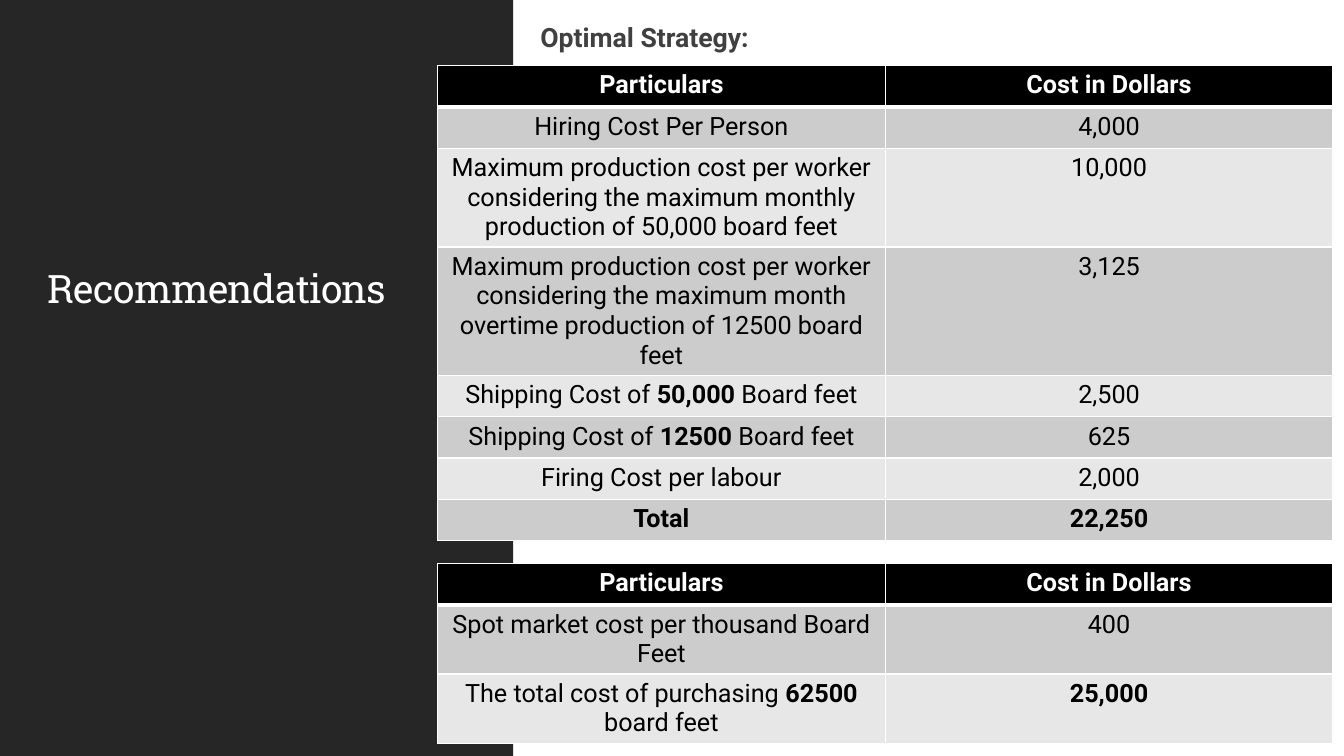
from dataclasses import dataclass

from lxml import etree
from pptx import Presentation
from pptx.dml.color import RGBColor
from pptx.enum import shapes, text
from pptx.oxml import ns
from pptx.util import Inches, Pt


@dataclass(frozen=True)
class Theme:
    head: str = "Roboto Slab"
    font: str = "Roboto"
    panel: str = "262626"
    white: str = "FFFFFF"
    black: str = "000000"
    gray: str = "404040"
    accent: str = "EC7016"
    bands: tuple = ("CCCCCC", "E7E7E7")
    title: int = 28
    lead: int = 19
    cell: int = 18


T = Theme()
HEADER = ("**Particulars**", "**Cost in Dollars**")
COSTS = [
    ("Hiring Cost Per Person", "4,000"),
    ("Maximum production cost per worker considering the maximum monthly "
     "production of 50,000 board feet", "10,000"),
    ("Maximum production cost per worker considering the maximum month "
     "overtime production of 12500 board feet", "3,125"),
    ("Shipping Cost of **50,000** Board feet", "2,500"),
    ("Shipping Cost of **12500** Board feet", "625"),
    ("Firing Cost per labour", "2,000"),
    ("**Total**", "**22,250**"),
]
SPOT = [
    ("Spot market cost per thousand Board Feet", "400"),
    ("The total cost of purchasing **62500** board feet", "**25,000**"),
]


def node(parent, tag, **attrs):
    return etree.SubElement(parent, ns.qn(tag), attrs)


def paint(fill, color):
    fill.solid()
    fill.fore_color.rgb = RGBColor.from_string(color)


def write(para, words, size, color, font=T.font, align=None, line=None,
          after=0, track=None):
    para.alignment = align
    para.line_spacing = line
    para.space_before = Pt(0)
    para.space_after = Pt(after)
    for i, part in enumerate(words.split("**")):
        if part:
            run = para.add_run()
            run.text = part
            run.font.name = font
            run.font.size = Pt(size)
            run.font.bold = i % 2 == 1
            run.font.color.rgb = RGBColor.from_string(color)
            if track:
                run.font._element.set("spc", str(track))


def place(shape, left, top, width, height):
    shape.left, shape.top = Inches(left), Inches(top)
    shape.width, shape.height = Inches(width), Inches(height)


def add_panel(slide):
    panel = slide.shapes.add_shape(
        shapes.MSO_SHAPE.RECTANGLE, 0, 0, Inches(5.09), Inches(7.5))
    panel.shadow.inherit = False
    paint(panel.fill, T.panel)
    panel.line.fill.background()
    slide.shapes._spTree.insert(2, panel._element)


def add_title(slide):
    title = slide.shapes.title
    place(title, 0.37, 0.86, 4.1, 2.29)
    frame = title.text_frame
    frame.word_wrap = True
    frame.auto_size = text.MSO_AUTO_SIZE.NONE
    frame.vertical_anchor = text.MSO_ANCHOR.BOTTOM
    write(frame.paragraphs[0], "Recommendations", T.title, T.white,
          font=T.head, align=text.PP_ALIGN.LEFT, line=0.9, track=-50)


def add_lead(slide):
    body = slide.placeholders[1]
    place(body, 5.26, 0.13, 6.48, 5.79)
    frame = body.text_frame
    frame.word_wrap = True
    frame.auto_size = text.MSO_AUTO_SIZE.NONE
    frame.margin_left = frame.margin_right = 0
    para = frame.paragraphs[0]
    props = para._p.get_or_add_pPr()
    props.set("marL", str(Inches(0.1)))
    props.set("indent", str(Inches(-0.1)))
    node(node(props, "a:buClr"), "a:srgbClr", val=T.accent)
    node(props, "a:buChar", char=" ")
    write(para, "**Optimal Strategy:**", T.lead, T.gray, line=1.1, after=2)


def add_edges(cell, top, bottom):
    props = cell._tc.get_or_add_tcPr()
    for side, width in (("L", 1), ("R", 1), ("T", top), ("B", bottom)):
        edge = node(props, f"a:ln{side}", w=str(Pt(width)))
        node(node(edge, "a:solidFill"), "a:srgbClr", val=T.white)


def add_costs(slide, top, items):
    rows = [HEADER, *items]
    table = slide.shapes.add_table(
        len(rows), 2, Inches(4.34), Inches(top),
        Inches(8.88), Inches(0.41 * len(rows))).table
    for r, row in enumerate(rows):
        fill = T.bands[(r - 1) % 2] if r else T.black
        for c, words in enumerate(row):
            cell = table.cell(r, c)
            add_edges(cell, 3 if r == 1 else 1, 1 if r else 3)
            paint(cell.fill, fill)
            write(cell.text_frame.paragraphs[0], words, T.cell,
                  T.black if r else T.white, align=text.PP_ALIGN.CENTER)


def main():
    deck = Presentation()
    deck.slide_width, deck.slide_height = Inches(13.33), Inches(7.5)
    slide = deck.slides.add_slide(deck.slide_layouts[1])
    paint(slide.background.fill, T.white)
    add_panel(slide)
    add_title(slide)
    add_lead(slide)
    add_costs(slide, 0.65, COSTS)
    add_costs(slide, 5.59, SPOT)
    deck.save("out.pptx")


if __name__ == "__main__":
    main()
